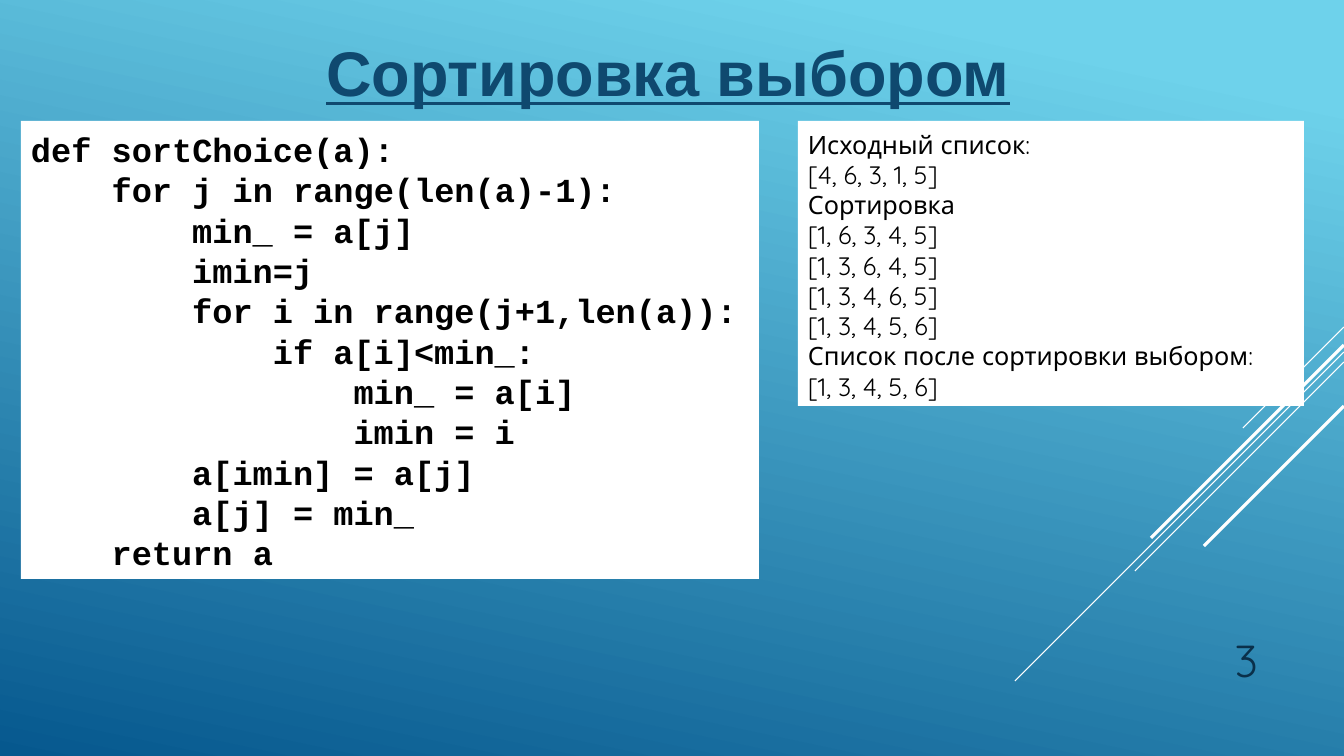
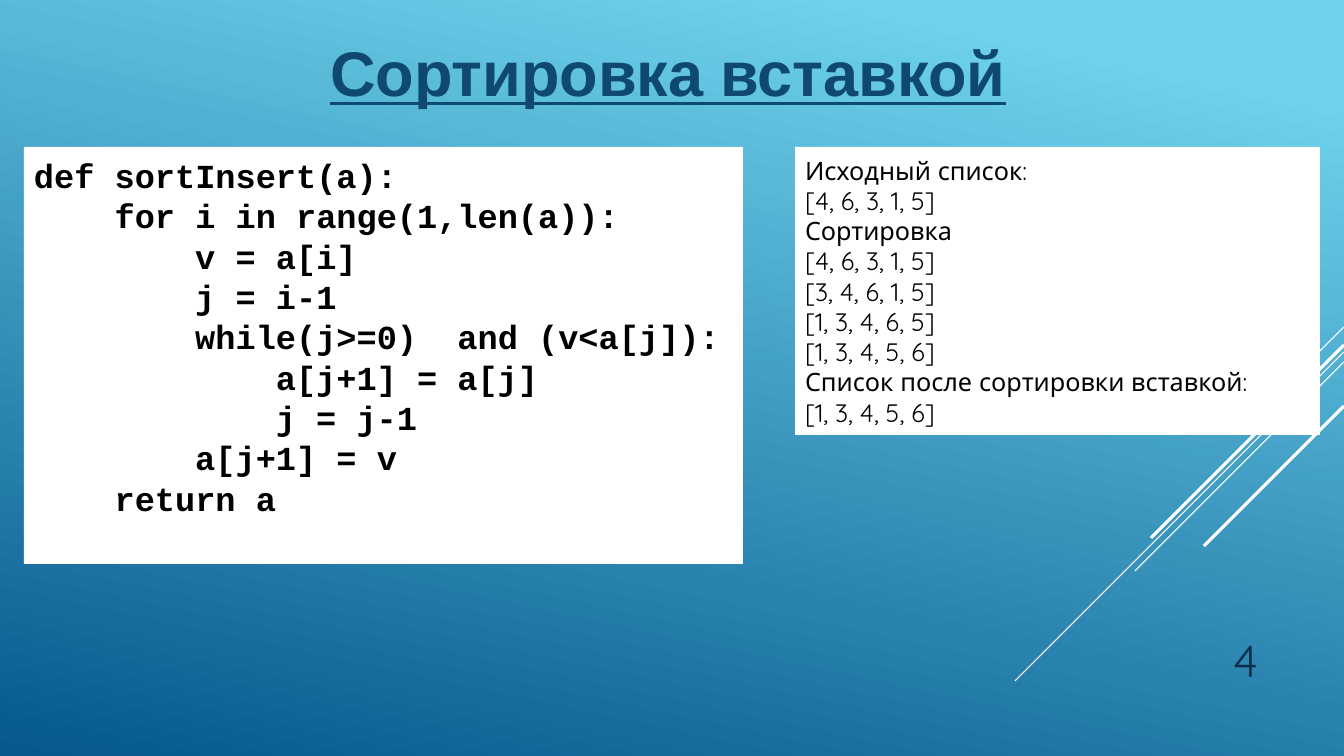
from lxml import etree
from pptx import Presentation, util as u
from pptx.dml.color import RGBColor
from pptx.enum import shapes, text
from pptx.oxml.ns import qn

# Content: code lines are (depth, text)
SLIDES = [
    dict(
        number="3",
        title="Сортировка выбором",
        code=[
            (0, "def sortChoice(a):"),
            (1, "for j in range(len(a)-1):"),
            (2, "min_ = a[j]"),
            (2, "imin=j"),
            (2, "for i in range(j+1,len(a)):"),
            (3, "if a[i]<min_:"),
            (4, "min_ = a[i]"),
            (4, "imin = i"),
            (2, "a[imin] = a[j]"),
            (2, "a[j] = min_"),
            (1, "return a"),
        ],
        code_box=(21, 121, 738, 458),
        steps=["[1, 6, 3, 4, 5]", "[1, 3, 6, 4, 5]", "[1, 3, 4, 6, 5]", "[1, 3, 4, 5, 6]"],
        result="Список после сортировки выбором:",
        output_box=(798, 121, 506, 285),
    ),
    dict(
        number="4",
        title="Сортировка вставкой",
        code=[
            (0, "def sortInsert(a):"),
            (1, "for i in range(1,len(a)):"),
            (2, "v = a[i]"),
            (2, "j = i-1"),
            (2, "while(j>=0)  and (v<a[j]):"),
            (3, "a[j+1] = a[j]"),
            (3, "j = j-1"),
            (2, "a[j+1] = v"),
            (1, "return a"),
        ],
        code_box=(24, 147, 719, 417),
        steps=["[4, 6, 3, 1, 5]", "[3, 4, 6, 1, 5]", "[1, 3, 4, 6, 5]", "[1, 3, 4, 5, 6]"],
        result="Список после сортировки вставкой:",
        output_box=(795, 147, 525, 288),
    ),
]
SOURCE_LIST = "[4, 6, 3, 1, 5]"

# Shared look
COLORS = dict(sky="6ED2EB", sea="06588E", white="FFFFFF", black="000000",
              title="0F496F", number="0A304A")
STYLES = dict(
    title=dict(font="Arial", size=45, color="title", bold=True, underline=True,
               align=text.PP_ALIGN.CENTER),
    code=dict(font="Courier New", size=24, color="black", bold=True),
    output=dict(font="Quicksand", size=18, color="black"),
    number=dict(font="Quicksand", size=32, color="number", align=text.PP_ALIGN.RIGHT),
)
TITLE_BOX = (68, 26, 1200, 87)
NUMBER_BOX = (1142, 615, 126, 74)
WIDTH, HEIGHT = 1344, 756
# 45-degree rays from the right edge: start y, horizontal reach, points
RAYS = [(327, 101, 0.75), (352, 329, 0.75), (362, 209, 0.75),
        (345, 193, 2.25), (406, 140, 2.25)]
LINE_PITCH = 1.2
INDENT = u.Pt(57.6)  # four monospaced characters at 24 pt


def px(length):
    return u.Emu(round(length * 12192000 / WIDTH))


def rgb(name):
    return RGBColor.from_string(COLORS[name])


def add_text(slide, box, lines, style, panel=False, anchor=text.MSO_ANCHOR.TOP):
    """Write (depth, text) lines in one box, on a white panel if asked."""
    place = [px(v) for v in box]
    if panel:
        holder = slide.shapes.add_shape(shapes.MSO_SHAPE.RECTANGLE, *place)
        holder.shadow.inherit = False
        holder.fill.solid()
        holder.fill.fore_color.rgb = rgb("white")
        holder.line.fill.background()
    else:
        holder = slide.shapes.add_textbox(*place)
    frame = holder.text_frame
    frame.word_wrap = True
    frame.vertical_anchor = anchor
    frame.margin_left = frame.margin_right = px(10)
    frame.margin_top, frame.margin_bottom = px(8), px(3)
    frame.text = "\n".join(line for _, line in lines)
    look = STYLES[style]
    for paragraph, (depth, _) in zip(frame.paragraphs, lines):
        paragraph.alignment = look.get("align", text.PP_ALIGN.LEFT)
        paragraph.line_spacing = u.Pt(look["size"] * LINE_PITCH)
        if depth:
            paragraph._p.get_or_add_pPr().set("marL", str(depth * INDENT))
        for run in paragraph.runs:
            font = run.font
            font.name, font.size = look["font"], u.Pt(look["size"])
            font.bold = look.get("bold", False)
            font.underline = look.get("underline", False)
            font.color.rgb = rgb(look["color"])


def add_backdrop(slide):
    fill = slide.background.fill
    fill.gradient()
    fill.gradient_angle = 258
    for stop, color, position in zip(fill.gradient_stops, ("sky", "sea"), (0.1, 1)):
        stop.color.rgb = rgb(color)
        stop.position = position
    for top, reach, weight in RAYS:
        ray = slide.shapes.add_connector(
            shapes.MSO_CONNECTOR.STRAIGHT,
            px(WIDTH), px(top), px(WIDTH - reach), px(top + reach))
        ray.line.color.rgb = rgb("white")
        ray.line.width = u.Pt(weight)
        etree.SubElement(ray._element.spPr, qn("a:effectLst"))


def build_slide(deck, content):
    slide = deck.slides.add_slide(deck.slide_layouts[6])
    add_backdrop(slide)
    add_text(slide, TITLE_BOX, [(0, content["title"])], "title")
    # Code on the left, printed output on the right
    add_text(slide, content["code_box"], content["code"], "code", panel=True)
    output = ["Исходный список:", SOURCE_LIST, "Сортировка", *content["steps"],
              content["result"], content["steps"][-1]]
    add_text(slide, content["output_box"], [(0, line) for line in output],
             "output", panel=True)
    add_text(slide, NUMBER_BOX, [(0, content["number"])], "number",
             anchor=text.MSO_ANCHOR.BOTTOM)


def main():
    deck = Presentation()
    deck.slide_width, deck.slide_height = px(WIDTH), px(HEIGHT)
    for content in SLIDES:
        build_slide(deck, content)
    deck.save("out.pptx")


if __name__ == "__main__":
    main()
